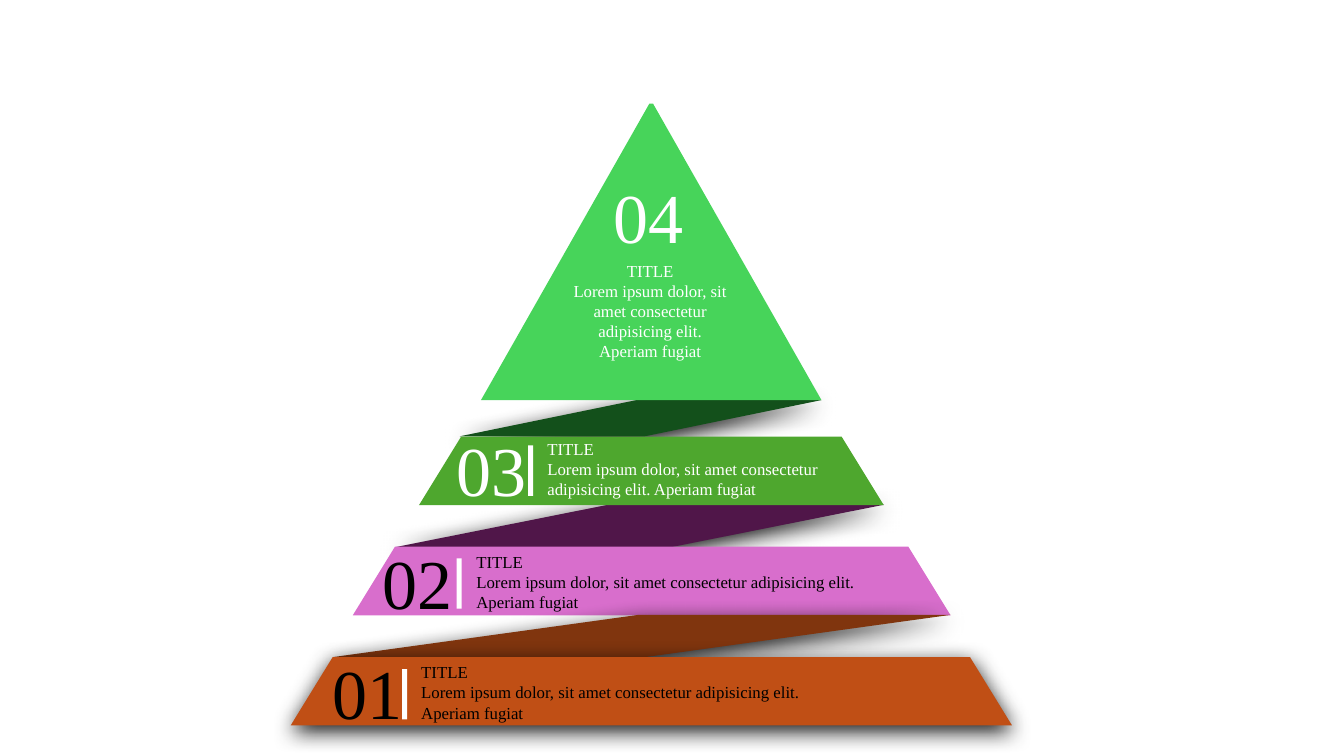
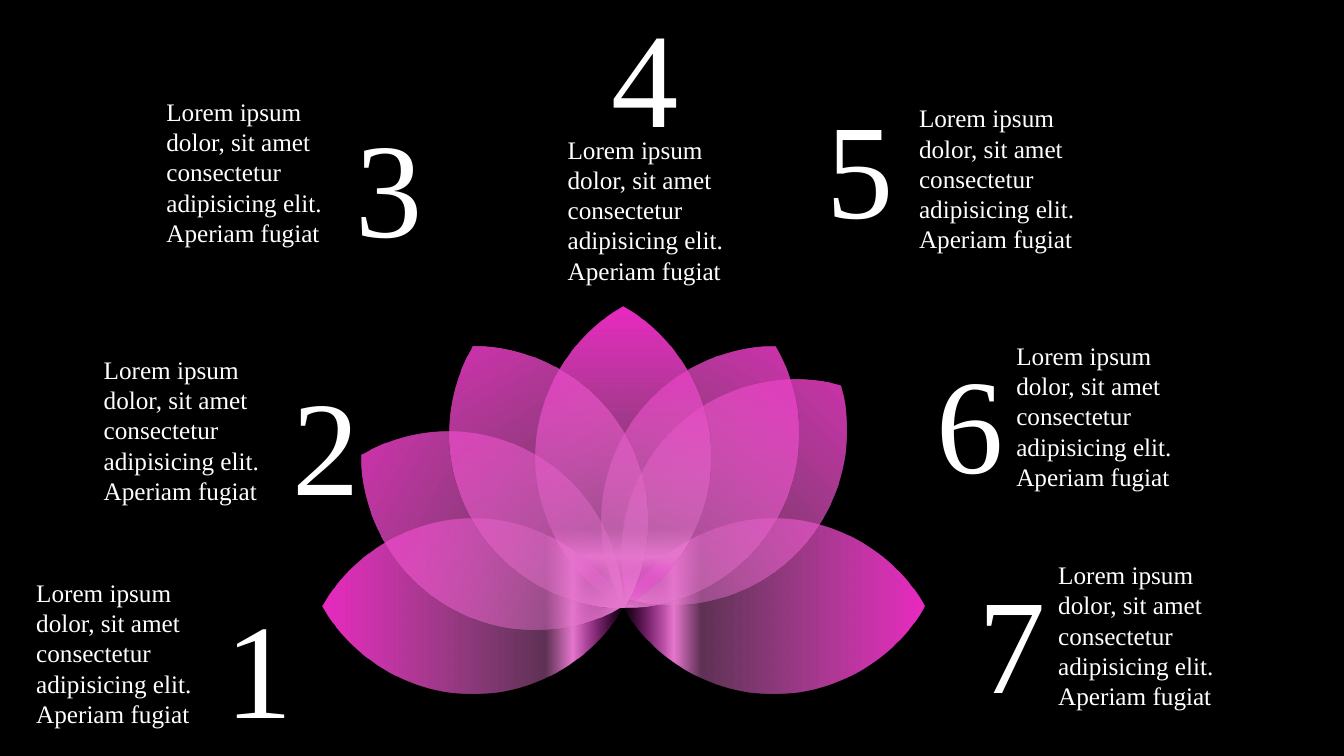
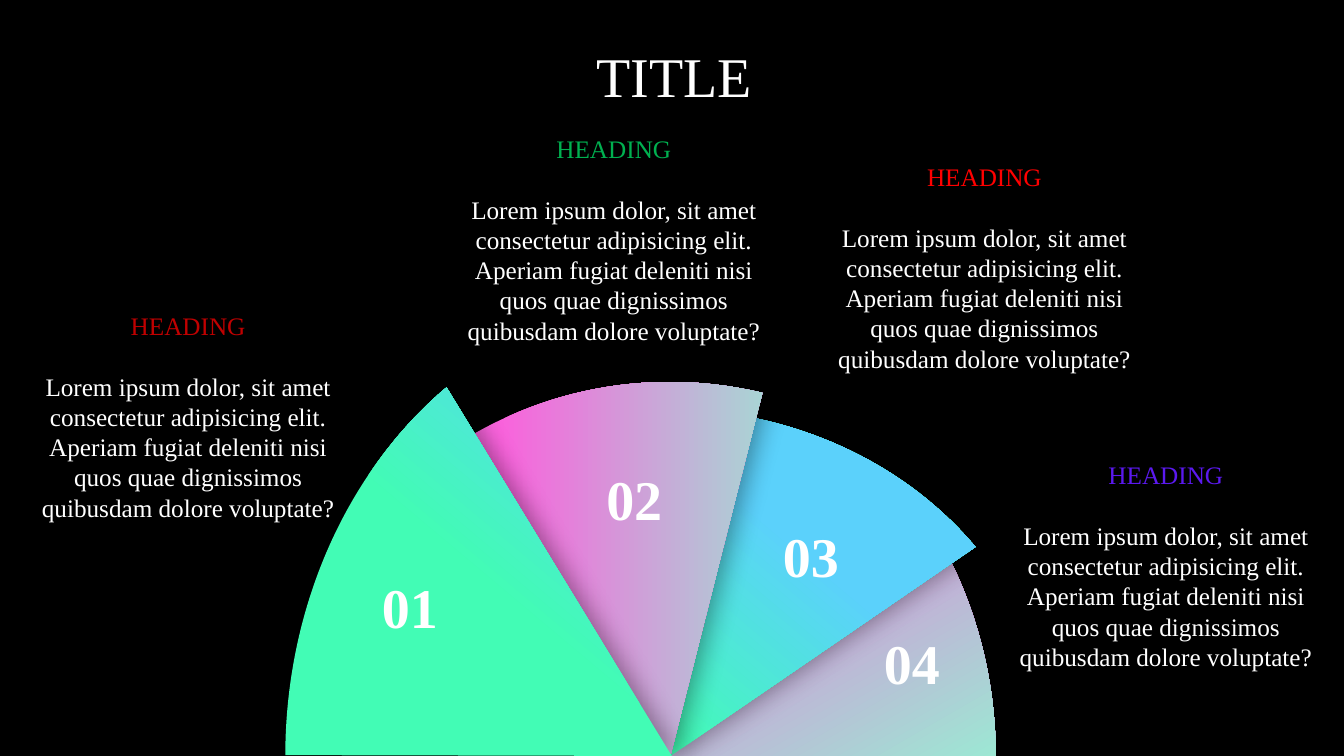
from pptx import Presentation
from pptx.dml.color import RGBColor
from pptx.enum.shapes import MSO_SHAPE
from pptx.enum.text import MSO_ANCHOR, MSO_AUTO_SIZE, PP_ALIGN
from pptx.oxml import parse_xml
from pptx.oxml.ns import nsdecls, qn
from pptx.util import Pt

FONT = "Times New Roman"
WHITE, BLACK = "FFFFFF", "000000"
BLANK, TITLE_ONLY = 6, 5
LOREM = "Lorem ipsum dolor, sit amet consectetur adipisicing elit. Aperiam fugiat"
LONG_LOREM = LOREM + " deleniti nisi quos quae dignissimos quibusdam dolore voluptate?"

BAND_SHADOW = dict(alpha=90, blur=16, distance=4, angle=90)
SLICE_SHADOW = dict(alpha=36, blur=18, distance=4, angle=350)

FOLD, BAND = MSO_SHAPE.PARALLELOGRAM, MSO_SHAPE.TRAPEZOID
PYRAMID = [
    (FOLD, 328.3, 285.8, 258.5, 25.9, 487.9, "13501B", BAND_SHADOW),
    (FOLD, 283, 360.5, 348.5, 30.2, 501.9, "501649", BAND_SHADOW),
    (BAND, 252, 390.5, 427, 49, 61.5, "D86ECC", None),
    (BAND, 299.3, 311.8, 332, 49, 61.5, "4EA72E", None),
    (BAND, 343.6, 74, 243.2, 211.8, 56.8, "47D45A", None),
    (FOLD, 237.6, 439.2, 441.4, 30.2, 723.5, "80350E", BAND_SHADOW),
    (BAND, 207.6, 469.3, 515.3, 48.9, 61.5, "C04F15", BAND_SHADOW),
]
LEVELS = [
    ("01", 230.4, 287.3, 293.8, 469.3, 324, BLACK),
    ("02", 266.4, 326.2, 333.2, 390.2, 324, BLACK),
    ("03", 319, 377.3, 383.9, 309.6, 211.7, WHITE),
]

PETAL_TIP = (0, 107.6)
PETAL_SHOULDER = (7.2, 103.3)
PETAL_BEND = (40.3, 81)
PETAL_BULGE = (62.3, 42.8)
PETAL_SIDE = (62.3, 0)
PETAL_STOPS = [(0, "EA2AC1", 100), (74, "E678CE", 41), (83, "E678CE", 100), (100, "F71DDD", 0)]
PETALS = [
    (90, 552.6, 433), (45, 524.4, 351.7), (30, 500, 340.9), (0, 445.2, 326.5),
    (270, 338, 433), (300, 351.6, 379), (330, 392, 340.9),
]
CAPTIONS = [
    ("1", (18.8, 408.7), (154.1, 413.6)),
    ("2", (67, 249.4), (201.6, 254.2)),
    ("3", (111.8, 65.2), (247, 69.8)),
    ("4", (398.4, 92.2), (429.8, -8.6)),
    ("5", (649.4, 69.8), (583.2, 56.2)),
    ("6", (718.9, 239.4), (661.7, 239)),
    ("7", (748.8, 396), (691.9, 395.6)),
]

PINK_MINT = [(28, "F963DC", 100), (74, "8DFDD2", 100)]
GREEN_BLUE = [(51, "42FCB5", 100), (74, "5BD1FB", 100)]
SLICE_WIDTH = 552.2
SLICES = [
    (435.2, 540.4, 595.4, 326.19, 359.92, PINK_MINT, 60),
    (477, 541.4, 498.2, 281.22, 325.56, GREEN_BLUE, 310),
    (478.5, 541.4, 537.1, 238.52, 284.23, PINK_MINT, 0),
    (479.9, 540, 648, 180.12, 238.56, GREEN_BLUE, 310),
]
SECTIONS = [
    ("01", (263.6, 405.4), (16.7, 218.2), "C00000"),
    ("02", (423.9, 328.3), (320.8, 91.8), "00B050"),
    ("03", (550.1, 369), (585.5, 111.9), "FF0000"),
    ("04", (622.2, 445.3), (715.1, 324.8), "5B19EF"),
]


def rgb(color):
    return RGBColor.from_string(color)


def new_page(deck, layout, background):
    page = deck.slides.add_slide(deck.slide_layouts[layout])
    page.background.fill.solid()
    page.background.fill.fore_color.rgb = rgb(background)
    return page


def write(box, lines, size, color=WHITE, align=PP_ALIGN.LEFT, bold=False, gap=0, first_color=None):
    frame = box.text_frame
    frame.word_wrap = True
    frame.auto_size = MSO_AUTO_SIZE.SHAPE_TO_FIT_TEXT
    frame.vertical_anchor = MSO_ANCHOR.TOP
    for index, line in enumerate(lines):
        para = frame.add_paragraph() if index else frame.paragraphs[0]
        para.alignment = align
        para.space_before = Pt(gap if index else 0)
        span = para.add_run()
        span.text = line
        span.font.name, span.font.size, span.font.bold = FONT, Pt(size), bold
        span.font.color.rgb = rgb(color if index or first_color is None else first_color)


def add_text(page, left, top, width, height, lines, size, **style):
    box = page.shapes.add_textbox(Pt(left), Pt(top), Pt(width), Pt(height))
    write(box, lines, size, **style)


def paint(shape, color=None, stops=None, angle=0, shadow=None):
    shape.line.fill.background()
    shape.shadow.inherit = False
    properties = shape.element.spPr
    if color:
        shape.fill.solid()
        shape.fill.fore_color.rgb = rgb(color)
    else:
        shape.fill.gradient()
        marks = "".join(
            f'<a:gs pos="{place * 1000}"><a:srgbClr val="{tint}">'
            f'<a:alpha val="{alpha * 1000}"/></a:srgbClr></a:gs>'
            for place, tint, alpha in stops)
        gradient = parse_xml(
            f'<a:gradFill {nsdecls("a")} rotWithShape="1"><a:gsLst>{marks}</a:gsLst>'
            f'<a:lin ang="{angle * 60000}" scaled="0"/></a:gradFill>')
        properties.replace(properties.find(qn("a:gradFill")), gradient)
    if shadow:
        properties.find(qn("a:effectLst")).append(parse_xml(
            f'<a:outerShdw {nsdecls("a")} blurRad="{Pt(shadow["blur"])}" '
            f'dist="{Pt(shadow["distance"])}" dir="{shadow["angle"] * 60000}" rotWithShape="0">'
            f'<a:srgbClr val="{BLACK}"><a:alpha val="{shadow["alpha"] * 1000}"/></a:srgbClr>'
            '</a:outerShdw>'))


def add_preset(page, preset, left, top, width, height, adjustments=(), **look):
    shape = page.shapes.add_shape(preset, Pt(left), Pt(top), Pt(width), Pt(height))
    for index, value in enumerate(adjustments):
        shape.adjustments[index] = value
    paint(shape, **look)


def petal_segments():
    down = [[PETAL_SHOULDER], [PETAL_BEND, PETAL_BULGE, PETAL_SIDE]]
    right = [[(x, -y) for x, y in segment] for segment in down]
    right += [[PETAL_BULGE, PETAL_BEND, PETAL_SHOULDER], [PETAL_TIP]]
    return right + [[(-x, -y) for x, y in segment] for segment in right[:-1]]


def add_petal(page, rotation, x, y):
    segments = petal_segments()
    builder = page.shapes.build_freeform(Pt(x), Pt(y - PETAL_TIP[1]), scale=1.0)
    builder.add_line_segments([(Pt(x + s[-1][0]), Pt(y + s[-1][1])) for s in segments], close=True)
    petal = builder.convert_to_shape()
    lines = list(petal.element.spPr.iter(qn("a:lnTo")))
    for line, segment in zip(lines, segments):
        if len(segment) == 3:
            points = "".join(
                f'<a:pt x="{Pt(dx + PETAL_SIDE[0])}" y="{Pt(dy + PETAL_TIP[1])}"/>'
                for dx, dy in segment)
            curve = parse_xml(f'<a:cubicBezTo {nsdecls("a")}>{points}</a:cubicBezTo>')
            line.getparent().replace(line, curve)
    petal.rotation = rotation
    paint(petal, stops=PETAL_STOPS, angle=90)


def build_pyramid(deck):
    page = new_page(deck, BLANK, WHITE)
    for preset, left, top, width, height, slant, color, shadow in PYRAMID:
        add_preset(page, preset, left, top, width, height, [slant / 100], color=color, shadow=shadow)
    for number, number_x, bar_x, text_x, top, width, color in LEVELS:
        add_text(page, text_x, top, width, 51, ["TITLE", LOREM], 12, color=color)
        add_text(page, number_x, top - 8.6, 68.4, 67.7, [number], 50, color=color)
        add_preset(page, MSO_SHAPE.RECTANGLE, bar_x, top + 8.6, 3.6, 36, color=WHITE)
    add_text(page, 401.4, 182.4, 126, 80, ["TITLE", LOREM], 12, align=PP_ALIGN.CENTER)
    add_text(page, 431.3, 120.2, 68.4, 67.7, ["04"], 50)


def build_lotus(deck):
    page = new_page(deck, BLANK, BLACK)
    for rotation, x, y in PETALS:
        add_petal(page, rotation, x, y)
    for number, caption_at, number_at in CAPTIONS:
        add_text(page, *caption_at, 146.9, 116.6, [LOREM], 18)
        add_text(page, *number_at, 46.8, 123.8, [number], 96)


def build_fan(deck):
    page = new_page(deck, TITLE_ONLY, BLACK)
    for x, y, height, start, end, stops, angle in SLICES:
        add_preset(page, MSO_SHAPE.PIE, x - SLICE_WIDTH / 2, y - height / 2, SLICE_WIDTH, height,
                   [start * 0.6, end * 0.6], stops=stops, angle=angle, shadow=SLICE_SHADOW)
    for number, number_at, text_at, color in SECTIONS:
        add_text(page, *number_at, 58.3, 55.4, [number], 40, align=PP_ALIGN.CENTER, bold=True)
        add_text(page, *text_at, 235.4, 160, ["HEADING", LONG_LOREM], 18,
                 align=PP_ALIGN.CENTER, gap=21.6, first_color=color)
    title = page.shapes.title
    title.left, title.top, title.width, title.height = Pt(308.2), Pt(26.2), Pt(347), Pt(55.4)
    write(title, ["TITLE"], 40, align=PP_ALIGN.CENTER)


def main():
    deck = Presentation()
    deck.slide_width, deck.slide_height = Pt(960), Pt(540)
    for build in (build_pyramid, build_lotus, build_fan):
        build(deck)
    deck.save("out.pptx")


if __name__ == "__main__":
    main()
